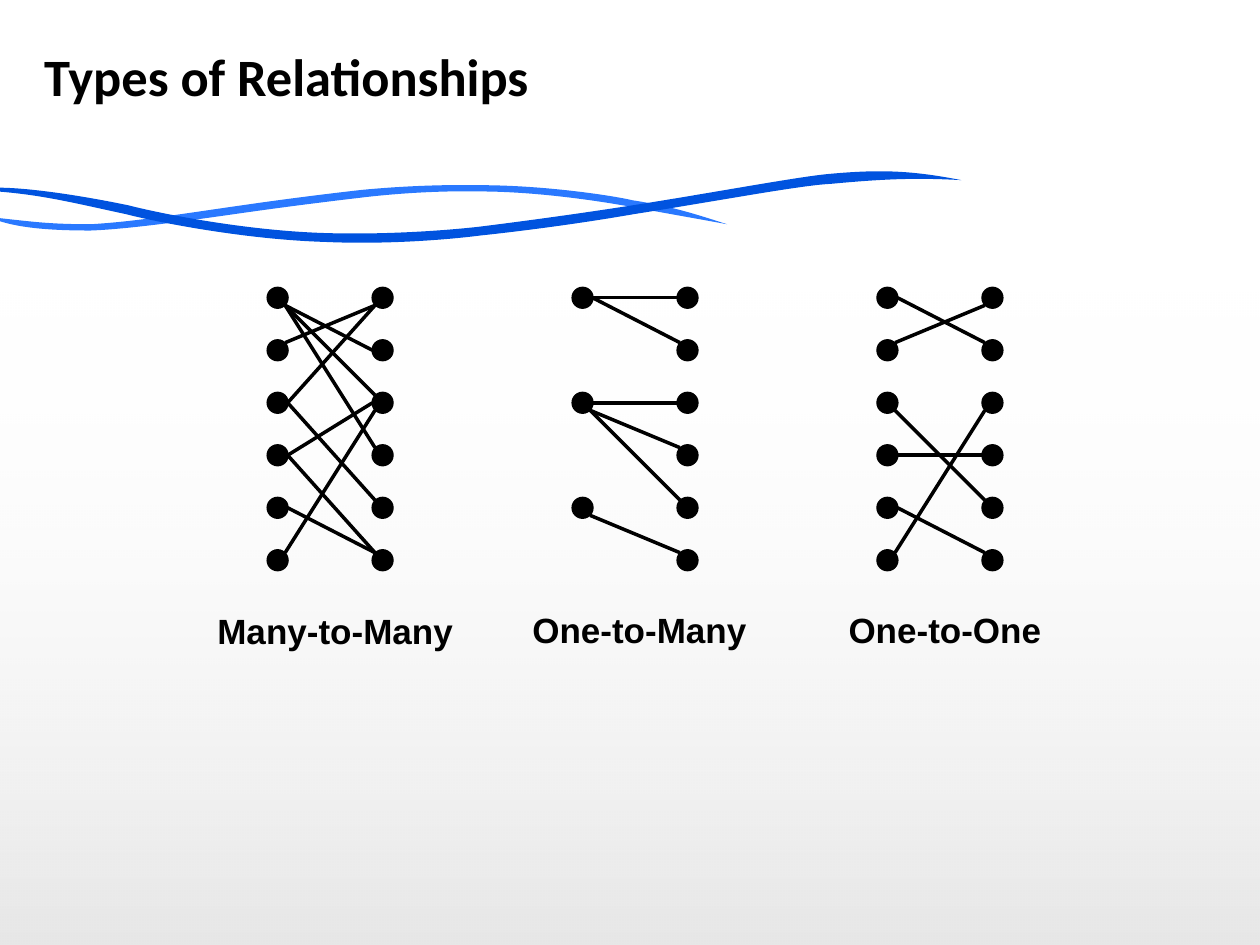
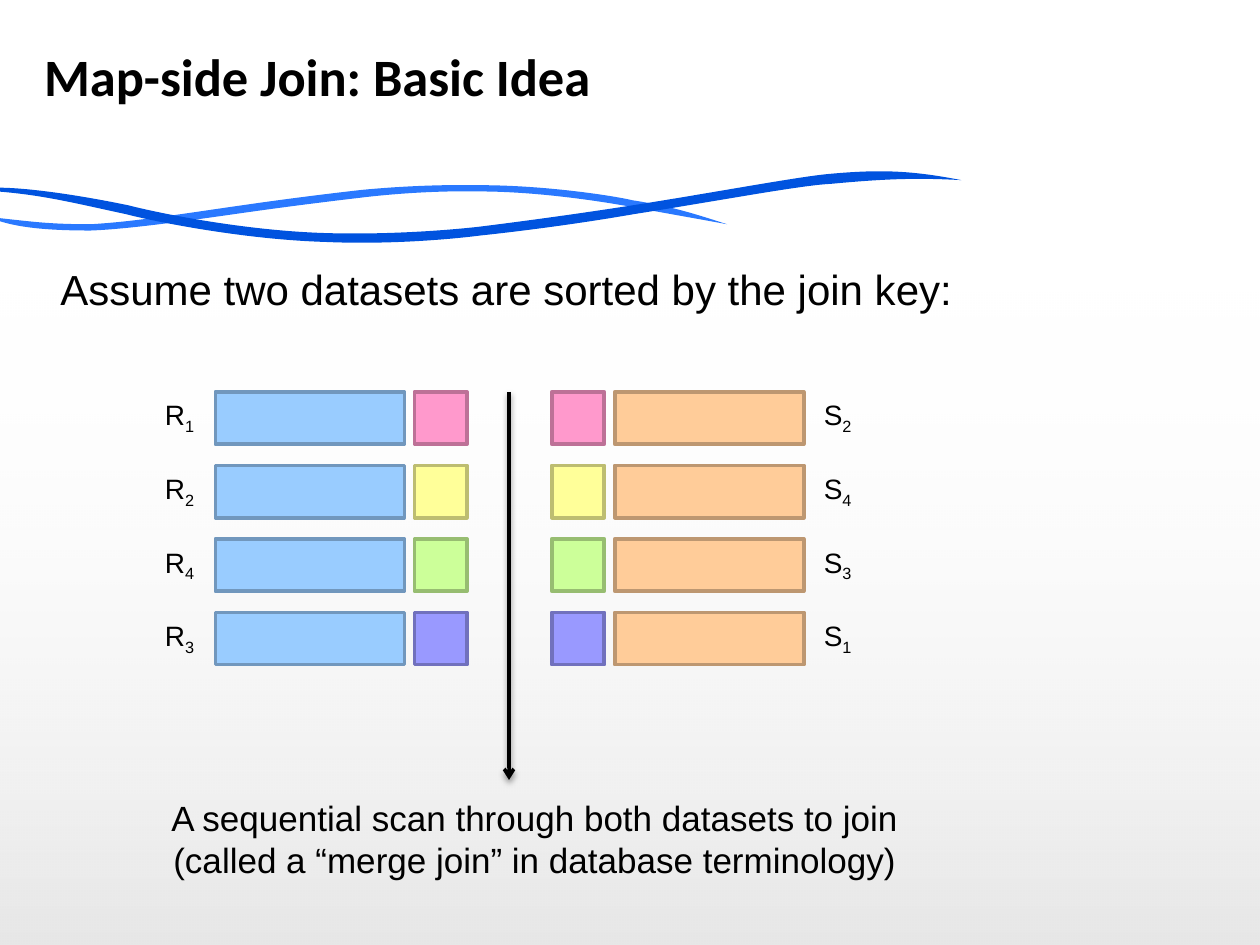
from dataclasses import dataclass

from lxml import etree
from pptx import Presentation
from pptx.dml.color import RGBColor
from pptx.enum.shapes import MSO_CONNECTOR, MSO_SHAPE
from pptx.enum.text import MSO_ANCHOR, PP_ALIGN
from pptx.oxml.ns import qn
from pptx.util import Inches, Pt

STRAIGHT = MSO_CONNECTOR.STRAIGHT
RECTANGLE = MSO_SHAPE.RECTANGLE
OVAL = MSO_SHAPE.OVAL
LEFT, CENTER = PP_ALIGN.LEFT, PP_ALIGN.CENTER
TOP, MIDDLE = MSO_ANCHOR.TOP, MSO_ANCHOR.MIDDLE


@dataclass(frozen=True)
class Theme:
    ink: str = "000000"
    paper: str = "FFFFFF"
    light_wave: str = "2A79FF"
    dark_wave: str = "0053DF"
    r_record: str = "99CCFF"
    s_record: str = "FFCC99"
    border_shade: float = 0.74
    title_font: str = "Calibri"
    body_font: str = "Arial"
    title_size: int = 30
    body_size: int = 24
    caption_size: int = 20
    label_size: int = 16
    line_width: float = 2
    dot_line_width: float = 0.75


THEME = Theme()

# Waves: start point, then cubic curves (two control points and an end point)
WAVES = [
    (THEME.light_wave, (-0.02, 1.75), [
        (-0.02, 1.73, -0.02, 1.73, -0.02, 1.73), (0.26, 1.76, 0.39, 1.78, 0.72, 1.78),
        (1.07, 1.76, 1.43, 1.7, 1.92, 1.63), (2.4, 1.56, 2.85, 1.51, 2.85, 1.51),
        (2.85, 1.51, 3.3, 1.46, 3.81, 1.47), (4.31, 1.47, 4.85, 1.55, 5.02, 1.59),
        (5.34, 1.64, 5.52, 1.7, 5.77, 1.78), (5.5, 1.73, 5.32, 1.7, 5, 1.64),
        (4.83, 1.61, 4.3, 1.52, 3.8, 1.52), (3.31, 1.51, 2.86, 1.57, 2.86, 1.57),
        (2.86, 1.57, 2.42, 1.62, 1.93, 1.69), (1.44, 1.76, 1, 1.82, 0.72, 1.83),
        (0.48, 1.83, 0.18, 1.82, -0.02, 1.75)]),
    (THEME.dark_wave, (-0.02, 1.52), [
        (-0.02, 1.49, -0.02, 1.49, -0.02, 1.49), (0.25, 1.49, 0.68, 1.56, 1.02, 1.63),
        (1.25, 1.69, 1.93, 1.83, 2.58, 1.85), (3.22, 1.87, 3.8, 1.8, 3.8, 1.8),
        (3.8, 1.8, 4.38, 1.73, 5.02, 1.63), (5.66, 1.53, 6.35, 1.4, 6.59, 1.38),
        (7.02, 1.34, 7.27, 1.36, 7.63, 1.43), (7.27, 1.41, 7.02, 1.42, 6.59, 1.46),
        (6.36, 1.47, 5.67, 1.6, 5.03, 1.7), (4.4, 1.81, 3.81, 1.87, 3.81, 1.87),
        (3.81, 1.87, 3.22, 1.95, 2.57, 1.92), (1.93, 1.9, 1.23, 1.76, 1, 1.7),
        (0.58, 1.61, 0.35, 1.55, -0.02, 1.52)]),
]

# Relationships: label and its box, rows of the left dots,
# links as (left row, left side, right row, right side)
RELATIONSHIPS = [
    ("Many-to-Many", (1.62, 4.79, 2.08, 0.43), range(6), [
        (0, "low", 2, "high"), (0, "low", 1, "mid"), (0, "low", 3, "high"),
        (3, "mid", 2, "mid"), (5, "high", 2, "low"), (2, "mid", 0, "low"),
        (2, "mid", 4, "high"), (4, "mid", 5, "high"), (3, "mid", 5, "high"),
        (1, "high", 0, "low")]),
    ("One-to-Many", (4.12, 4.78, 1.91, 0.43), (0, 2, 4), [
        (0, "mid", 0, "mid"), (0, "mid", 1, "high"), (2, "mid", 2, "mid"),
        (2, "low", 3, "high"), (2, "low", 4, "high"), (4, "low", 5, "high")]),
    ("One-to-One", (6.63, 4.78, 1.74, 0.43), range(6), [
        (0, "mid", 1, "high"), (1, "high", 0, "low"), (4, "mid", 5, "high"),
        (3, "mid", 3, "mid"), (2, "low", 4, "high"), (5, "high", 2, "low")]),
]
DOT_ROWS = 6
DOT_SIZE = 1 / 6
DOT_LEFT, DOT_TOP = 2.12, 2.28
DOT_PITCH = 5 / 12
PAIR_GAP = 5 / 6
DIAGRAM_PITCH = 2.42
# Attachment points as offsets from the dot centre, towards the other column
SIDES = {"high": (0.06, -0.06), "mid": (0.08, 0), "low": (0.06, 0.06)}

# Join rows: key colour, index in R, index in S
JOIN_ROWS = [("FF99CC", "1", "2"), ("FFFF99", "2", "4"),
             ("CCFF99", "4", "3"), ("9999FF", "3", "1")]
# Datasets: name, record colour, label left and width, record left, key left
DATASETS = [("R", THEME.r_record, 1.21, 0.45, 1.71, 3.29),
            ("S", THEME.s_record, 6.44, 0.43, 4.88, 4.38)]
ROW_TOP, ROW_PITCH = 3.11, 7 / 12
RECORD_WIDTH, KEY_SIZE = 1.5, 5 / 12
ASSUMPTION = "Assume two datasets are sorted by the join key:"
SCAN_NOTE = ("A sequential scan through both datasets to join\n"
             "(called a “merge join” in database terminology)")


def rgb(value):
    return RGBColor.from_string(value)


def shaded(value):
    return "".join(f"{round(channel * THEME.border_shade):02X}" for channel in rgb(value))


def add_text(shapes, text, box, size, font=THEME.body_font, bold=False, align=LEFT,
             anchor=TOP, inset=(0.1, 0.05), wrap=True):
    frame = shapes.add_textbox(*map(Inches, box)).text_frame
    frame.word_wrap = wrap
    frame.vertical_anchor = anchor
    frame.margin_left = frame.margin_right = Inches(inset[0])
    frame.margin_top = frame.margin_bottom = Inches(inset[1])
    paragraph = frame.paragraphs[0]
    paragraph.text = text
    paragraph.alignment = align
    for run in paragraph.runs:
        style_run(run, size, font, bold)
    return paragraph


def style_run(run, size, font=THEME.body_font, bold=False):
    run.font.name = font
    run.font.size = Pt(size)
    run.font.bold = bold
    run.font.color.rgb = rgb(THEME.ink)


def add_block(shapes, kind, box, fill, border, width):
    shape = shapes.add_shape(kind, *map(Inches, box))
    shape.shadow.inherit = False
    shape.fill.solid()
    shape.fill.fore_color.rgb = rgb(fill)
    shape.line.color.rgb = rgb(border)
    shape.line.width = Pt(width)


def add_line(shapes, start, end):
    connector = shapes.add_connector(STRAIGHT, *map(Inches, (*start, *end)))
    connector.line.color.rgb = rgb(THEME.ink)
    connector.line.width = Pt(THEME.line_width)
    effects = etree.SubElement(connector._element.spPr, qn("a:effectLst"))
    return connector, effects


def add_wave(shapes, color, start, curves):
    """A closed outline whose segments are bent into cubic curves."""
    builder = shapes.build_freeform(*map(Inches, start))
    builder.add_line_segments(
        [(Inches(x), Inches(y)) for *_, x, y in curves], close=True)
    wave = builder.convert_to_shape()
    segments = list(wave._element.spPr.iter(qn("a:lnTo")))
    for segment, curve in zip(segments, curves):
        bend = etree.Element(qn("a:cubicBezTo"))
        for x, y in zip(curve[::2], curve[1::2]):
            etree.SubElement(bend, qn("a:pt"), x=str(Inches(x) - wave.left),
                             y=str(Inches(y) - wave.top))
        segment.getparent().replace(segment, bend)
    wave.shadow.inherit = False
    wave.fill.solid()
    wave.fill.fore_color.rgb = rgb(color)
    wave.line.fill.background()


def add_base_slide(presentation, title):
    slide = presentation.slides.add_slide(presentation.slide_layouts[6])
    slide.background.fill.solid()
    slide.background.fill.fore_color.rgb = rgb(THEME.paper)

    # Grey fade rising from the bottom
    fade = slide.shapes.add_shape(RECTANGLE, 0, Inches(2.21), Inches(10), Inches(5.29))
    fade.shadow.inherit = False
    fade.line.fill.background()
    fade.fill.gradient()
    fade.fill.gradient_angle = 90
    for stop, color in zip(fade.fill.gradient_stops, (THEME.ink, THEME.paper)):
        stop.color.rgb = rgb(color)
    for color, alpha in zip(fade._element.spPr.iter(qn("a:srgbClr")), ("10000", "0")):
        etree.SubElement(color, qn("a:alpha"), val=alpha)

    # Waves
    waves = slide.shapes.add_group_shape()
    for wave in WAVES:
        add_wave(waves.shapes, *wave)

    add_text(slide.shapes, title, (0.35, 0, 9.29, 1.2), THEME.title_size,
             THEME.title_font, bold=True, anchor=MIDDLE, inset=(0, 0))
    return slide


def add_relationships(slide):
    for index, (label, label_box, left_rows, links) in enumerate(RELATIONSHIPS):
        add_text(slide.shapes, label, label_box, THEME.caption_size, bold=True,
                 align=CENTER, wrap=False)
        left = DOT_LEFT + index * DIAGRAM_PITCH
        right = left + PAIR_GAP

        # Dots
        for x, rows in ((left, left_rows), (right, range(DOT_ROWS))):
            for row in rows:
                add_block(slide.shapes, OVAL,
                          (x, DOT_TOP + row * DOT_PITCH, DOT_SIZE, DOT_SIZE),
                          THEME.ink, THEME.ink, THEME.dot_line_width)

        # Links
        for left_row, left_side, right_row, right_side in links:
            ends = []
            for x, row, side, direction in ((left, left_row, left_side, 1),
                                            (right, right_row, right_side, -1)):
                dx, dy = SIDES[side]
                ends.append((x + DOT_SIZE / 2 + direction * dx,
                             DOT_TOP + row * DOT_PITCH + DOT_SIZE / 2 + dy))
            add_line(slide.shapes, *ends)


def add_join(slide):
    assumption = add_text(slide.shapes, ASSUMPTION, (0.38, 2.04, 9.25, 5.58),
                          THEME.body_size)
    assumption.space_before = Pt(3)

    # One group for each record, its key and its label
    for name, record_color, label_left, label_width, record_left, key_left in DATASETS:
        for row, (key_color, r_index, s_index) in enumerate(JOIN_ROWS):
            top = ROW_TOP + row * ROW_PITCH
            shapes = slide.shapes.add_group_shape().shapes
            for x, width, color in ((record_left, RECORD_WIDTH, record_color),
                                    (key_left, KEY_SIZE, key_color)):
                add_block(shapes, RECTANGLE, (x, top, width, KEY_SIZE), color,
                          shaded(color), THEME.line_width)
            label = add_text(shapes, name, (label_left, top, label_width, 0.37),
                             THEME.label_size, wrap=False)
            subscript = label.add_run()
            subscript.text = r_index if name == "R" else s_index
            style_run(subscript, THEME.label_size)
            subscript._r.get_or_add_rPr().set("baseline", "-25000")

    # Scan arrow with a soft shadow
    arrow, effects = add_line(slide.shapes, (4.04, 3.11), (4.04, 6.19))
    etree.SubElement(arrow.line._get_or_add_ln(), qn("a:tailEnd"), type="arrow")
    shadow = etree.SubElement(effects, qn("a:outerShdw"), blurRad=str(Pt(3.1)),
                              dist=str(Pt(1.6)), dir="5400000", rotWithShape="0")
    color = etree.SubElement(shadow, qn("a:srgbClr"), val=THEME.ink)
    etree.SubElement(color, qn("a:alpha"), val="38000")

    add_text(slide.shapes, SCAN_NOTE, (1.12, 6.27, 6.25, 0.77), THEME.caption_size,
             align=CENTER)


def main():
    presentation = Presentation()
    presentation.slide_width, presentation.slide_height = Inches(10), Inches(7.5)
    add_relationships(add_base_slide(presentation, "Types of Relationships"))
    add_join(add_base_slide(presentation, "Map-side Join: Basic Idea"))
    presentation.save("out.pptx")


if __name__ == "__main__":
    main()
